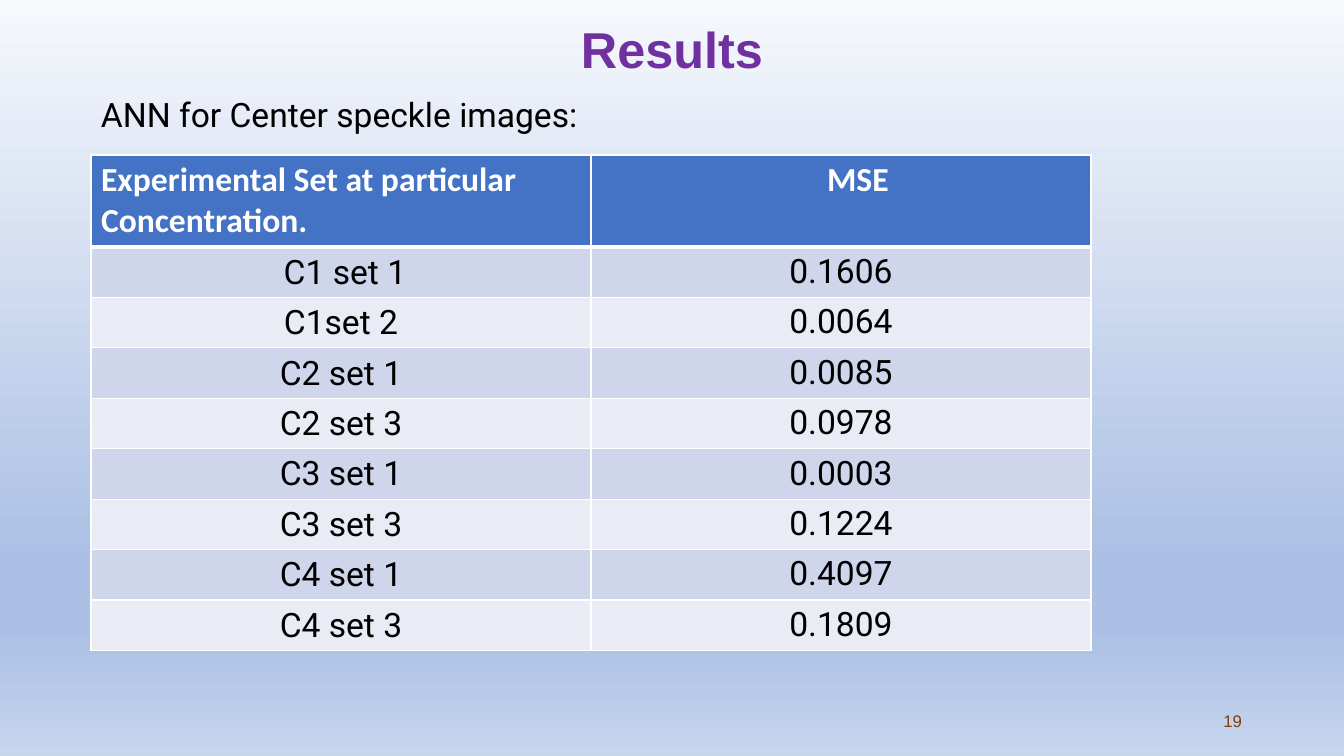
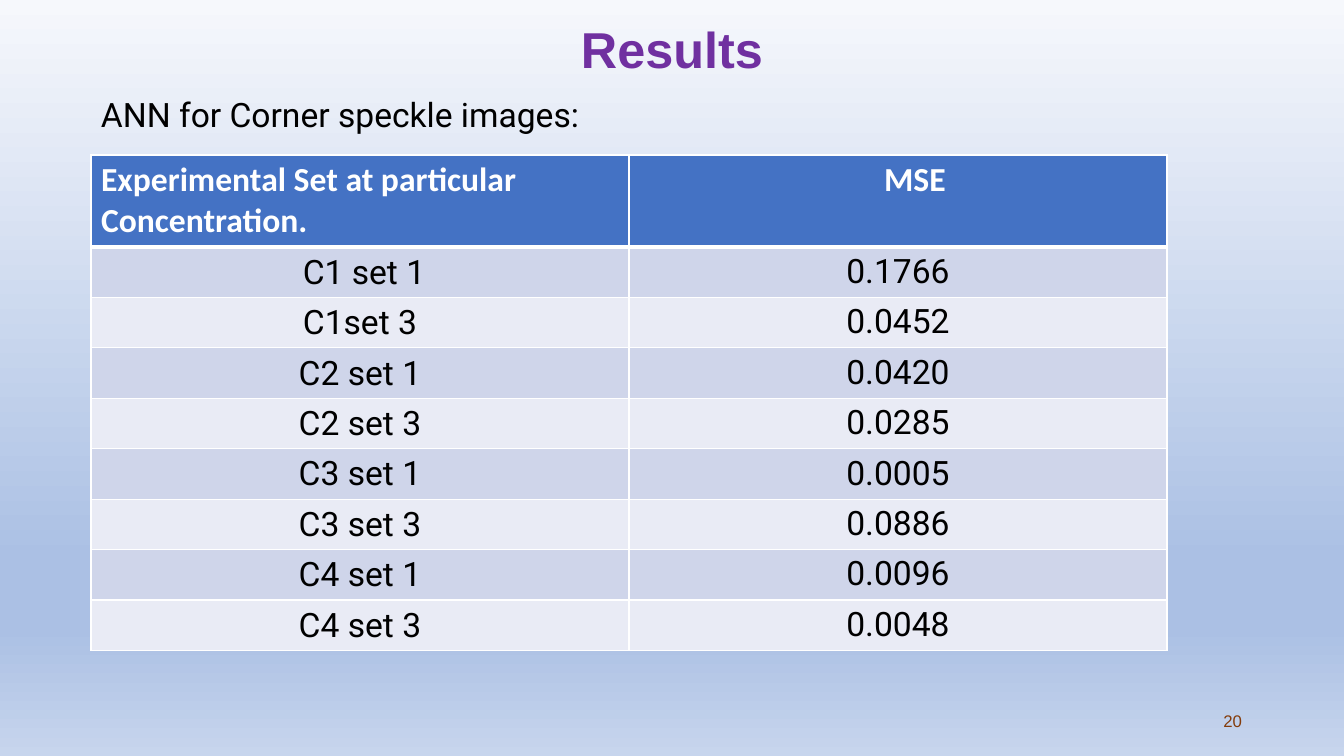
from lxml import etree
from pptx import Presentation
from pptx.dml.color import RGBColor
from pptx.enum.text import MSO_ANCHOR, MSO_AUTO_SIZE, PP_ALIGN
from pptx.oxml.ns import qn
from pptx.util import Emu, Pt

WIDE, HIGH = 1344, 756
SCALE = 12192000 / WIDE

PURPLE = RGBColor(0x70, 0x30, 0xA0)
BROWN = RGBColor(0x84, 0x3C, 0x0B)
BLACK = RGBColor(0x00, 0x00, 0x00)
WHITE = RGBColor(0xFF, 0xFF, 0xFF)
BLUE = RGBColor(0x44, 0x72, 0xC4)
BANDS = RGBColor(0xCF, 0xD5, 0xEA), RGBColor(0xE9, 0xEB, 0xF5)
SKY = RGBColor(0xF6, 0xF8, 0xFC)
MIST = RGBColor(0xAB, 0xC0, 0xE4)
HAZE = RGBColor(0xC7, 0xD5, 0xED)
STOPS = (0, SKY), (74, MIST), (83, MIST), (100, HAZE)

TITLE = (0, 15, WIDE, 74)
LEAD = (91, 89, 672, 50)
FOOT = (950, 701, 302, 40)
LEFT, TOP = 91, 155
HEAD_H, ROW_H = 92, 49

HEADS = ("Experimental Set at particular Concentration.", "MSE")
CENTER = [
    ("C1 set 1", "0.1606"), ("C1set 2", "0.0064"),
    ("C2 set 1", "0.0085"), ("C2 set 3", "0.0978"),
    ("C3 set 1", "0.0003"), ("C3 set 3", "0.1224"),
    ("C4 set 1", "0.4097"), ("C4 set 3", "0.1809"),
]
CORNER = [
    ("C1 set 1", "0.1766"), ("C1set 3", "0.0452"),
    ("C2 set 1", "0.0420"), ("C2 set 3", "0.0285"),
    ("C3 set 1", "0.0005"), ("C3 set 3", "0.0886"),
    ("C4 set 1", "0.0096"), ("C4 set 3", "0.0048"),
]
SLIDES = [
    ("ANN for Center speckle images:", 1000, CENTER, 19),
    ("ANN for Corner speckle images:", 1076, CORNER, 20),
]


def px(num):
    """Turn px into EMU."""
    return Emu(round(num * SCALE))


def place(shape, box):
    """Move a shape to a box in px."""
    shape.left, shape.top, shape.width, shape.height = map(px, box)


def write(frame, text, size=24, face="Roboto", color=BLACK, bold=False,
          align=PP_ALIGN.LEFT, space=1.0):
    """Write one formatted paragraph into a text frame."""
    frame.word_wrap = True
    para = frame.paragraphs[0]
    para.alignment = align
    para.line_spacing = space
    run = para.add_run()
    run.text = text
    font = run.font
    font.size, font.name, font.bold = Pt(size), face, bold
    font.color.rgb = color


def label(slide, box, text, anchor=MSO_ANCHOR.TOP, **style):
    """Add a text box."""
    shape = slide.shapes.add_textbox(*map(px, box))
    shape.text_frame.vertical_anchor = anchor
    write(shape.text_frame, text, **style)


def paint(master):
    """Give the master its gradient background."""
    fill = master.background.fill
    fill.gradient()
    fill.gradient_angle = 270
    stops = next(master.element.iter(qn("a:gsLst")))
    for old in list(stops):
        stops.remove(old)
    for pos, color in STOPS:
        stop = etree.SubElement(stops, qn("a:gs"), pos=str(pos * 1000))
        etree.SubElement(stop, qn("a:srgbClr"), val=str(color))


def edge(cell, **sides):
    """Draw white cell borders, given as side and points."""
    props = cell._tc.get_or_add_tcPr()
    for spot, (side, wide) in enumerate(sides.items()):
        line = etree.Element(qn("a:ln" + side), w=str(Pt(wide)))
        solid = etree.SubElement(line, qn("a:solidFill"))
        etree.SubElement(solid, qn("a:srgbClr"), val=str(WHITE))
        props.insert(spot, line)


def tint(cell, color, top, base):
    """Fill a cell and set its borders."""
    cell.fill.solid()
    cell.fill.fore_color.rgb = color
    edge(cell, L=1, R=1, T=top, B=base)


def grid(slide, box, rows):
    """Add the table of errors."""
    shape = slide.shapes.add_table(len(rows) + 1, 2, *map(px, box))
    table = shape.table
    for col in table.columns:
        col.width = px(box[2] / 2)
    table.rows[0].height = px(HEAD_H)
    for col, text in enumerate(HEADS):
        cell = table.cell(0, col)
        tint(cell, BLUE, 1, 3)
        write(cell.text_frame, text, face="Calibri", color=WHITE, bold=True,
              align=PP_ALIGN.CENTER if col else PP_ALIGN.LEFT)
    table.cell(0, 1).margin_left = px(44)
    for row, (name, error) in enumerate(rows, 1):
        table.rows[row].height = px(ROW_H)
        first, last = table.cell(row, 0), table.cell(row, 1)
        for cell in (first, last):
            tint(cell, BANDS[(row - 1) % 2], 3 if row == 1 else 1, 1)
        first.margin_left = px(15 if row == 1 else 7)
        first.margin_right = px(7)
        first.margin_top = first.margin_bottom = 0
        write(first.text_frame, name, align=PP_ALIGN.CENTER, space=1.15)
        write(last.text_frame, error, align=PP_ALIGN.CENTER)


def result(deck, lead, wide, rows, page):
    """Add one slide of results."""
    slide = deck.slides.add_slide(deck.slide_layouts[5])
    title = slide.shapes.title
    place(title, TITLE)
    title.text_frame.auto_size = MSO_AUTO_SIZE.NONE
    title.text_frame.vertical_anchor = MSO_ANCHOR.MIDDLE
    write(title.text_frame, "Results", size=36, face="Arial", color=PURPLE,
          bold=True, align=PP_ALIGN.CENTER, space=0.9)
    label(slide, FOOT, str(page), anchor=MSO_ANCHOR.MIDDLE, size=12,
          face="Arial", color=BROWN, align=PP_ALIGN.RIGHT)
    grid(slide, (LEFT, TOP, wide, HEAD_H + ROW_H * len(rows)), rows)
    label(slide, LEAD, lead)


def main():
    """Build and save the deck."""
    deck = Presentation()
    deck.slide_width, deck.slide_height = px(WIDE), px(HIGH)
    paint(deck.slide_master)
    for parts in SLIDES:
        result(deck, *parts)
    deck.save("out.pptx")


if __name__ == "__main__":
    main()
